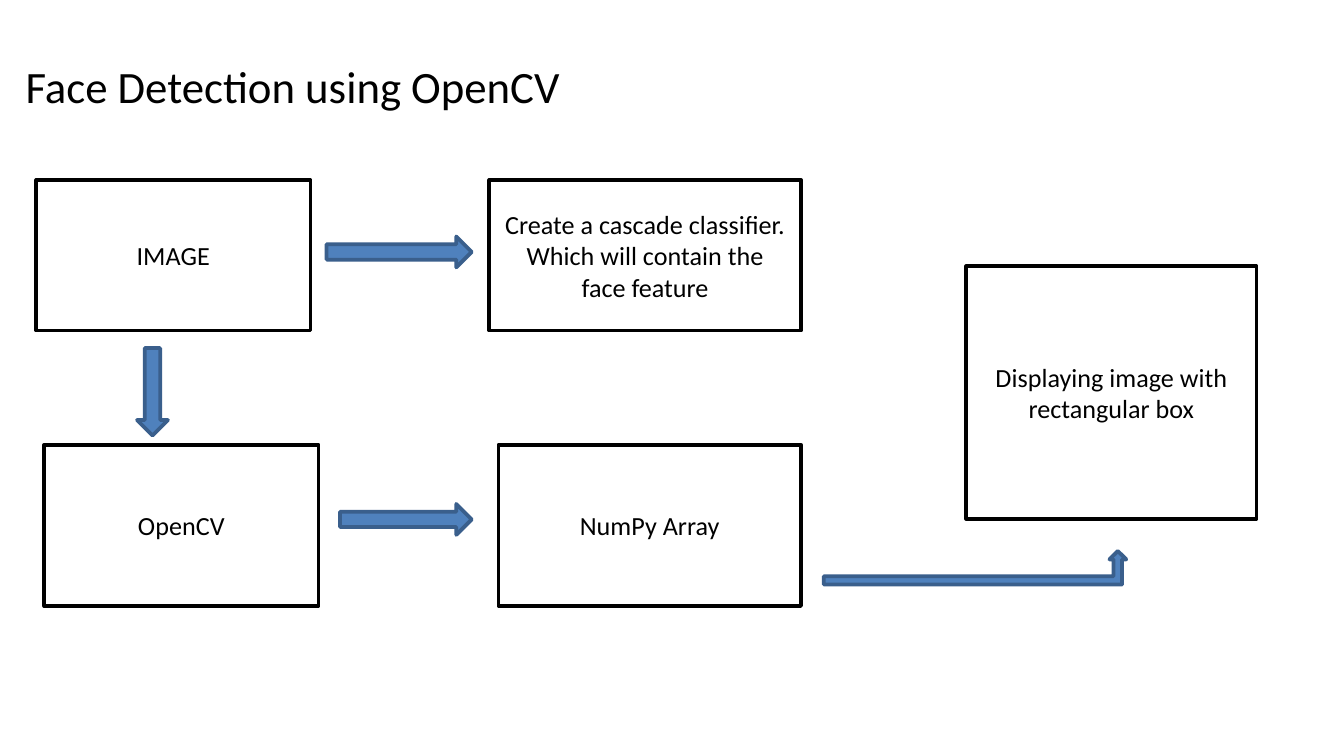
from typing import NamedTuple

from pptx import Presentation
from pptx.dml.color import RGBColor
from pptx.enum.shapes import MSO_SHAPE
from pptx.enum.text import MSO_ANCHOR, PP_ALIGN
from pptx.util import Inches, Pt

RECT = MSO_SHAPE.RECTANGLE
RIGHT = MSO_SHAPE.RIGHT_ARROW
DOWN = MSO_SHAPE.DOWN_ARROW
BENT_UP = MSO_SHAPE.BENT_UP_ARROW
TOP, MIDDLE = MSO_ANCHOR.TOP, MSO_ANCHOR.MIDDLE
LEFT_ALIGN, CENTER = PP_ALIGN.LEFT, PP_ALIGN.CENTER

FONT = "Calibri"
COLORS = {
    "text": "000000",
    "box_fill": "FFFFFF",
    "box_line": "000000",
    "arrow_fill": "4F81BD",
    "arrow_line": "3A5F8C",
}
TITLE_ONLY = 5
SLIDE_WIDTH = 10
SLIDE_HEIGHT = SLIDE_WIDTH * 9 / 16
TOP_ROW, BOTTOM_ROW = 1.34, 3.31
TOP_HEIGHT, BOTTOM_HEIGHT = 1.12, 1.2
ARROW_THICKNESS = 0.23


class Step(NamedTuple):
    text: str
    left: float
    top: float
    width: float
    height: float


class Arrow(NamedTuple):
    kind: MSO_SHAPE
    left: float
    top: float
    width: float
    height: float


STEPS = [
    Step("IMAGE", 0.27, TOP_ROW, 2.04, TOP_HEIGHT),
    Step("Create a cascade classifier. Which will contain the face feature",
         3.64, TOP_ROW, 2.32, TOP_HEIGHT),
    Step("OpenCV", 0.33, BOTTOM_ROW, 2.04, BOTTOM_HEIGHT),
    Step("NumPy Array", 3.71, BOTTOM_ROW, 2.25, BOTTOM_HEIGHT),
    Step("Displaying image with rectangular box", 7.19, 1.98, 2.16, 1.88),
]
ARROWS = [
    Arrow(RIGHT, 2.43, 1.76, 1.08, ARROW_THICKNESS),
    Arrow(DOWN, 1.02, 2.59, ARROW_THICKNESS, 0.65),
    Arrow(RIGHT, 2.53, 3.75, 0.98, ARROW_THICKNESS),
    Arrow(BENT_UP, 6.13, 4.1, 2.25, 0.25),
]


def color(name: str) -> RGBColor:
    return RGBColor.from_string(COLORS[name])


def write(shape, text: str, size: int, align: PP_ALIGN,
          anchor: MSO_ANCHOR) -> None:
    tf = shape.text_frame
    tf.word_wrap = True
    tf.vertical_anchor = anchor
    p = tf.paragraphs[0]
    p.alignment = align
    r = p.add_run()
    r.text = text
    r.font.name = FONT
    r.font.size = Pt(size)
    r.font.color.rgb = color("text")


def add_filled(slide, kind: MSO_SHAPE, item: Step | Arrow, role: str):
    """Add a preset shape with the fill and line colours of its role."""
    sp = slide.shapes.add_shape(kind, Inches(item.left), Inches(item.top),
                                Inches(item.width), Inches(item.height))
    sp.shadow.inherit = False
    sp.fill.solid()
    sp.fill.fore_color.rgb = color(f"{role}_fill")
    sp.line.color.rgb = color(f"{role}_line")
    sp.line.width = Pt(2)
    return sp


def add_title(slide, text: str) -> None:
    title = slide.shapes.title
    title.left, title.top = Inches(0.09), Inches(0.34)
    title.width, title.height = Inches(9.32), Inches(0.63)
    tf = title.text_frame
    tf.margin_left = tf.margin_right = Inches(0.1)
    tf.margin_top = tf.margin_bottom = Inches(0.1)
    write(title, text, 24, LEFT_ALIGN, TOP)


def main() -> None:
    prs = Presentation()
    prs.slide_width = Inches(SLIDE_WIDTH)
    prs.slide_height = Inches(SLIDE_HEIGHT)
    s = prs.slides.add_slide(prs.slide_layouts[TITLE_ONLY])
    add_title(s, "Face Detection using OpenCV")
    for step in STEPS:
        box = add_filled(s, RECT, step, "box")
        write(box, step.text, 14, CENTER, MIDDLE)
    for arrow in ARROWS:
        add_filled(s, arrow.kind, arrow, "arrow")
    prs.save("out.pptx")


if __name__ == "__main__":
    main()
